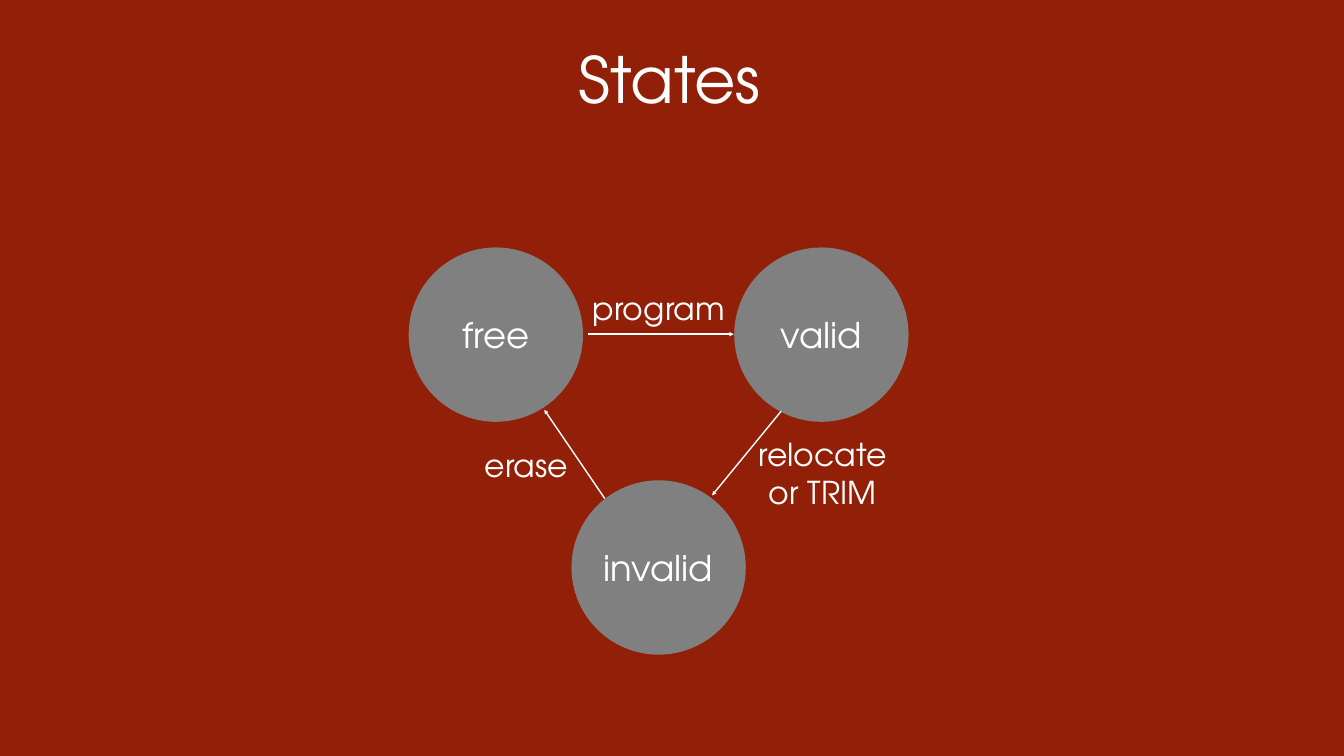
from lxml import etree
from pptx import Presentation
from pptx import util as u
from pptx.dml.color import RGBColor
from pptx.enum import shapes, text
from pptx.oxml.ns import qn

PX = 9144  # EMU per px, 100 px to the inch
PAGE = (0, 0, 2667, 1500)
RED, GRAY, WHITE = "921F07", "808080", "FFFFFF"
FONT = "TeX Gyre Adventor"

DIAMETER = 346
STATES = [("free", 0, 0), ("valid", 646, 0), ("invalid", 323, 462)]
ARROWS = [
    ((739, 325), (602, 492)),  # valid to invalid
    ((389, 498), (269, 322)),  # invalid to free
    ((355, 172), (645, 172)),  # free to valid
]
LABELS = [
    (["program"], (355, 73, 282, 92)),
    (["erase"], (139, 386, 190, 92)),
    (["relocate", "or TRIM"], (686, 364, 271, 167)),
]


def px(*lengths):
    return [u.Emu(length * PX) for length in lengths]


def paint(fill, color):
    fill.solid()
    fill.fore_color.rgb = RGBColor.from_string(color)


def write(shape, lines, size, margin, wrap):
    """Centre white lines of text in a shape."""
    frame = shape.text_frame
    inset = px(margin)[0]
    frame_format = {
        "word_wrap": wrap,
        "vertical_anchor": text.MSO_ANCHOR.MIDDLE,
        "margin_left": inset, "margin_right": inset,
        "margin_top": inset, "margin_bottom": inset,
    }
    for name, value in frame_format.items():
        setattr(frame, name, value)
    frame.text = "\n".join(lines)
    for para in frame.paragraphs:
        para.alignment = text.PP_ALIGN.CENTER
        for span in para.runs:
            for name, value in {"name": FONT, "size": u.Pt(size)}.items():
                setattr(span.font, name, value)
            paint(span.font.fill, WHITE)


def add_text(page, lines, box, size, margin, wrap):
    write(page.shapes.add_textbox(*px(*box)), lines, size, margin, wrap)


def add_state(page, name, left, top):
    circle = page.shapes.add_shape(
        shapes.MSO_SHAPE.OVAL, *px(left, top, DIAMETER, DIAMETER))
    circle.shadow.inherit = False
    paint(circle.fill, GRAY)
    circle.line.fill.background()
    write(circle, [name], 50.6, 0, False)


def add_arrow(page, start, end):
    arrow = page.shapes.add_connector(
        shapes.MSO_CONNECTOR.STRAIGHT, *px(*start, *end))
    arrow.line.width = u.Pt(2)
    paint(arrow.line.fill, WHITE)
    etree.SubElement(arrow.line._get_or_add_ln(), qn("a:tailEnd"), type="triangle")
    etree.SubElement(arrow._element.spPr, qn("a:effectLst"))


def add_title(page, box):
    add_text(page, ["States"], box, 91.1, 8, True)


def add_diagram(page, box):
    left, top = box

    def place(x, y):
        return left + x, top + y

    # Circles
    for name, x, y in STATES:
        add_state(page, name, *place(x, y))
    # Transitions
    for start, end in ARROWS:
        add_arrow(page, place(*start), place(*end))
    # Transition names
    for lines, (x, y, width, height) in LABELS:
        add_text(page, lines, (*place(x, y), width, height), 45, 8, False)


def main():
    deck = Presentation()
    deck.slide_width, deck.slide_height = px(*PAGE[2:])
    page = deck.slides.add_slide(deck.slide_layouts[6])
    paint(page.background.fill, RED)
    add_title(page, (71, 14, 2515, 281))
    add_diagram(page, (811, 491))
    deck.save("out.pptx")


if __name__ == "__main__":
    main()
